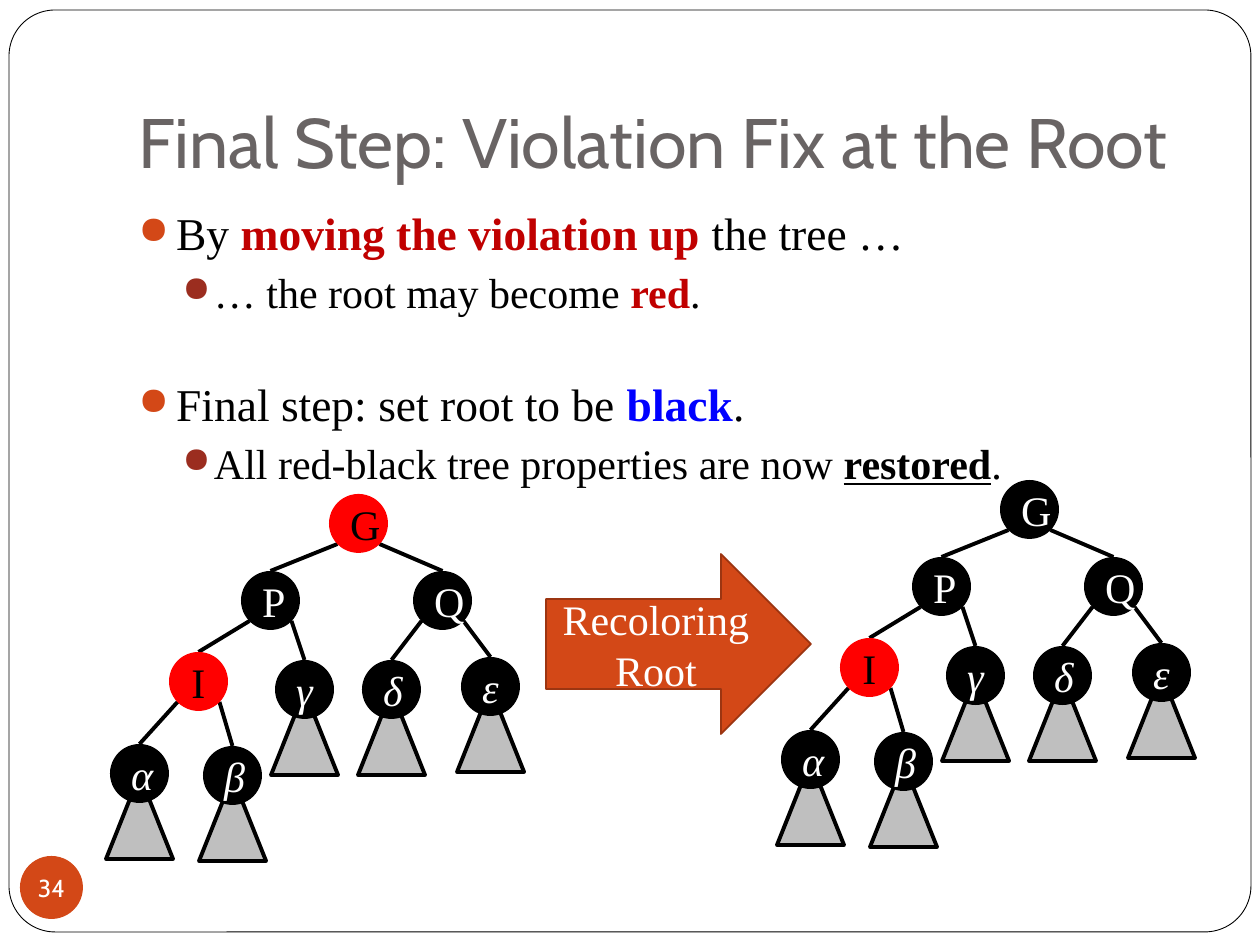
import pptx
import pptx.util
import pptx.dml.color
import pptx.enum.shapes
import pptx.enum.text
import pptx.oxml
import pptx.oxml.ns

RGB = pptx.dml.color.RGBColor
KIND = pptx.enum.shapes.MSO_SHAPE
ALIGN = pptx.enum.text.PP_ALIGN
ANCHOR = pptx.enum.text.MSO_ANCHOR
Pt = pptx.util.Pt

BLACK, WHITE = RGB(0, 0, 0), RGB(255, 255, 255)
RED, BLUE = RGB(255, 0, 0), RGB(0, 0, 255)
CRIMSON, ORANGE = RGB(0xC0, 0, 0), RGB(0xD3, 0x48, 0x17)
BRICK, RUST = RGB(0x9B, 0x2D, 0x1F), RGB(0x9C, 0x35, 0x11)
SLATE, GRAY = RGB(0x69, 0x64, 0x64), RGB(0xBF, 0xBF, 0xBF)
SANS, SERIF = "Cabin", "Times New Roman"

TITLE = "Final Step: Violation Fix at the Root"
# Level, space before (pt), runs of (text, colour, bold, underline)
POINTS = [
    (0, 5.8, [("By ", BLACK, False, False),
              ("moving the violation up", CRIMSON, True, False),
              (" the tree …", BLACK, False, False)]),
    (1, 3.7, [("… the root may become ", BLACK, False, False),
              ("red", CRIMSON, True, False),
              (".", BLACK, False, False)]),
    (0, 34, [("Final step: set root to be ", BLACK, False, False),
             ("black", BLUE, True, False),
             (".", BLACK, False, False)]),
    (1, 3.7, [("All red-black tree properties are now ", BLACK, False, False),
              ("restored", BLACK, True, True),
              (".", BLACK, False, False)]),
]
# Size (pt), text margin (in), hanging indent (in), bullet colour
LEVELS = [(26, 0.3, 0.3, ORANGE), (24, 0.6, 0.25, BRICK)]

# Node: offset from the root, parent
NODES = {
    "G": (0, 0, None),
    "P": (-88, 77, "G"),
    "Q": (84, 77, "G"),
    "I": (-160, 158, "P"),
    "γ": (-54, 166, "P"),
    "δ": (33, 166, "Q"),
    "ε": (132, 163, "Q"),
    "α": (-219, 250, "I"),
    "β": (-126, 252, "I"),
}
LEAVES = "αβγδε"
# Place of the root, red nodes
TREES = [(1000, 480, "GI"[1:]), (329, 494, "GI")]
NODE = 59


def px(n):
    return pptx.util.Emu(round(n * 914400 / 126))


def style(run, size, color, font=SERIF, bold=False, italic=False, under=False):
    face = run.font
    face.name, face.size, face.color.rgb = font, Pt(size), color
    face.bold, face.italic, face.underline = bold, italic, under


def shape(home, kind, box, fill, line=None, width=1):
    item = home.add_shape(kind, *map(px, box))
    item.shadow.inherit = False
    item.fill.solid()
    item.fill.fore_color.rgb = fill
    if line is None:
        item.line.fill.background()
    else:
        item.line.color.rgb = line
        item.line.width = Pt(width)
    return item


def label(item, text, size, color, font=SERIF, italic=False):
    frame = item.text_frame
    frame.text = text
    frame.vertical_anchor = ANCHOR.MIDDLE
    para = frame.paragraphs[0]
    para.alignment = ALIGN.CENTER
    for run in para.runs:
        style(run, size, color, font, italic=italic)


def edge(home, start, end):
    line = home.add_connector(pptx.enum.shapes.MSO_CONNECTOR.STRAIGHT,
                              *map(px, start + end))
    line.line.color.rgb = BLACK
    line.line.width = Pt(2.25)
    props = line._element.spPr
    props.append(pptx.oxml.parse_xml(
        "<a:effectLst %s/>" % pptx.oxml.ns.nsdecls("a")))


def tree(home, left, top, reds):
    for x, y, parent in NODES.values():
        if parent:
            up, down, _ = NODES[parent]
            side = 21 if x > up else -21
            edge(home, (left + up + NODE / 2 + side, top + down + 50),
                 (left + x + NODE / 2, top + y))
    for name, (x, y, _) in NODES.items():
        x, y = left + x, top + y
        leaf, red = name in LEAVES, name in reds
        if leaf:
            shape(home, KIND.ISOSCELES_TRIANGLE, (x - 4, y + 31, 67, 84),
                  GRAY, BLACK, 2.25)
        node = shape(home, KIND.OVAL, (x, y, NODE, NODE), RED if red else BLACK)
        label(node, name, 24, BLACK if red else WHITE, italic=leaf)


def bullet(para, margin, hang, color):
    props = para._p.get_or_add_pPr()
    props.set("marL", str(pptx.util.Inches(margin)))
    props.set("indent", str(-pptx.util.Inches(hang)))
    for xml in ('<a:buClr %s><a:srgbClr val="{}"/></a:buClr>'.format(color),
                '<a:buSzPct %s val="85000"/>',
                '<a:buChar %s char="●"/>'):
        props.append(pptx.oxml.parse_xml(xml % pptx.oxml.ns.nsdecls("a")))


def points(frame):
    frame.word_wrap = True
    for i, (level, before, runs) in enumerate(POINTS):
        para = frame.add_paragraph() if i else frame.paragraphs[0]
        size, margin, hang, color = LEVELS[level]
        para.level = level
        para.space_before = Pt(before)
        bullet(para, margin, hang, color)
        for text, ink, bold, under in runs:
            run = para.add_run()
            run.text = text
            style(run, size, ink, bold=bold, under=under)


def heading(title):
    title.left, title.top, title.width, title.height = map(
        px, (126, 38, 1071, 157))
    frame = title.text_frame
    frame.text = TITLE
    frame.auto_size = pptx.enum.text.MSO_AUTO_SIZE.NONE
    frame.vertical_anchor = ANCHOR.BOTTOM
    frame.margin_bottom = pptx.util.Inches(0.1)
    para = frame.paragraphs[0]
    para.alignment = ALIGN.LEFT
    style(para.runs[0], 40, SLATE, SANS)


def main():
    deck = pptx.Presentation()
    deck.slide_width, deck.slide_height = px(1260), px(945)
    slide = deck.slides.add_slide(deck.slide_layouts[5])
    shapes = slide.shapes

    border = shape(shapes, KIND.ROUNDED_RECTANGLE, (9, 10, 1242, 922),
                   WHITE, BLACK, 0.5)
    border.adjustments[0] = 0.05
    shapes._spTree.insert(2, border._element)  # behind the title
    heading(shapes.title)

    badge = shape(shapes, KIND.OVAL, (20, 856, 63, 63), ORANGE)
    label(badge, "34", 14, WHITE, SANS)
    frame = badge.text_frame
    frame.word_wrap = False
    frame.margin_left = frame.margin_right = 0
    frame.margin_top = frame.margin_bottom = 0

    points(shapes.add_textbox(*map(px, (126, 199, 1071, 630))).text_frame)
    for left, top, reds in TREES:
        tree(shapes.add_group_shape().shapes, left, top, reds)

    arrow = shape(shapes, KIND.RIGHT_ARROW, (546, 554, 265, 180), ORANGE, RUST)
    label(arrow, "Recoloring\vRoot", 24, WHITE)
    deck.save("out.pptx")


if __name__ == "__main__":
    main()
